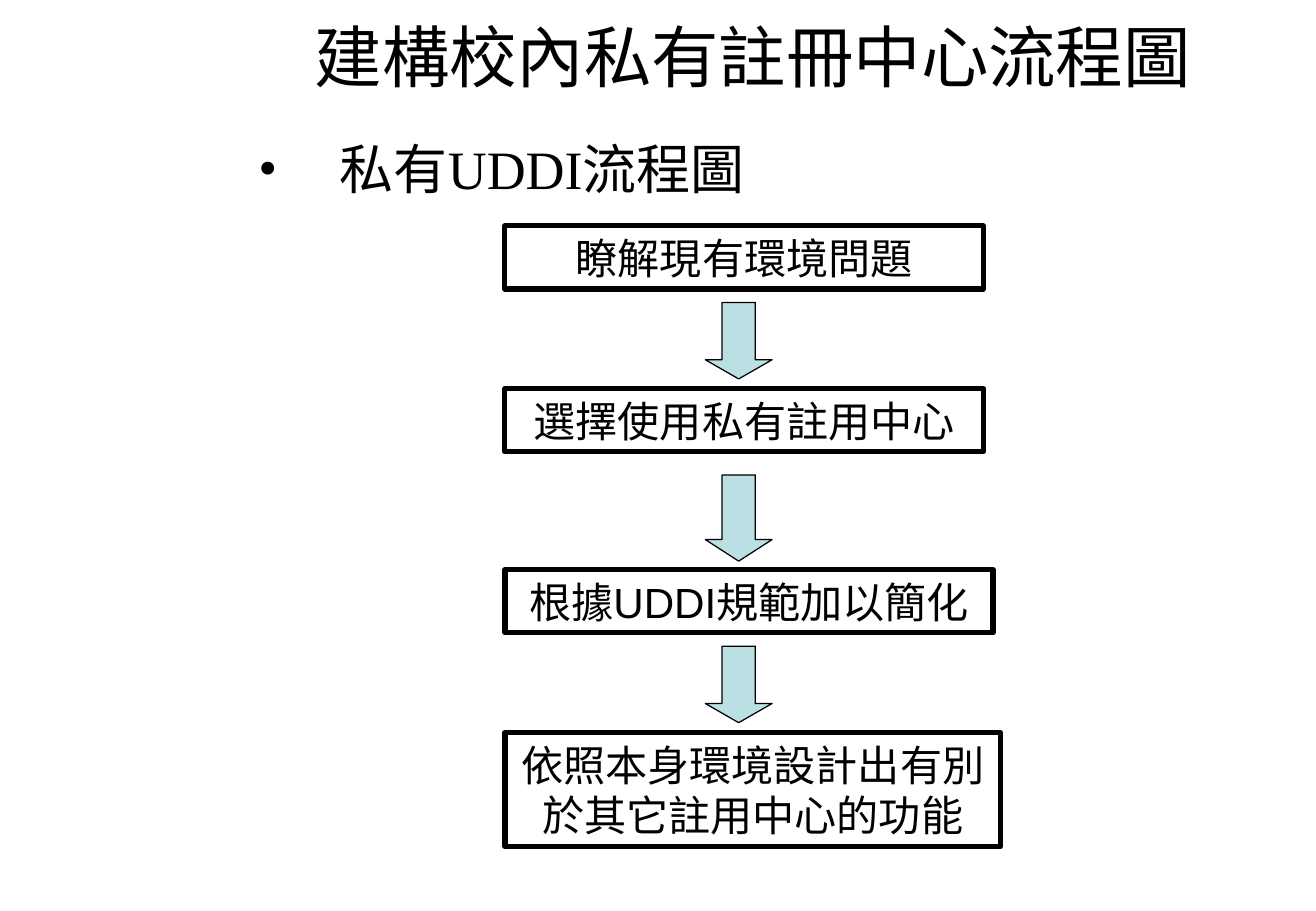
from lxml.etree import SubElement
from pptx import Presentation
from pptx.dml.color import RGBColor
from pptx.enum.shapes import MSO_SHAPE as SHAPE
from pptx.enum.text import MSO_ANCHOR as ANCHOR, PP_ALIGN as ALIGN
from pptx.oxml.ns import qn
from pptx.util import Inches, Pt

# Content
TITLE = "建構校內私有註冊中心流程圖"
CJK, SERIF = "Noto Sans CJK SC", "Times New Roman"
BULLET_RUNS = [("私有", CJK), ("UDDI", SERIF), ("流程圖", CJK)]
STEPS = [  # text, top, width, height
    ("瞭解現有環境問題", 1.86, 3.94, 0.52),
    ("選擇使用私有註用中心", 3.2, 3.94, 0.52),
    ("根據UDDI規範加以簡化", 4.69, 4.02, 0.52),
    ("依照本身環境設計出有別於其它註用中心的功能", 6.03, 4.08, 0.94),
]
ARROWS = [(2.49, 0.63), (3.91, 0.71), (5.32, 0.63)]  # top, height
STEP_LEFT, ARROW_LEFT, ARROW_WIDTH = 4.16, 5.81, 0.55

BLACK = RGBColor(0x00, 0x00, 0x00)
PALE_TEAL = RGBColor(0xBB, 0xE0, 0xE3)


def style(font, size, name):
    font.size, font.name = Pt(size), name
    font.color.rgb = BLACK


def add_outlined(kind, left, top, width, height, line_width):
    shape = page.shapes.add_shape(
        kind, Inches(left), Inches(top), Inches(width), Inches(height))
    shape.shadow.inherit = False
    shape.line.color.rgb = BLACK
    shape.line.width = Pt(line_width)
    return shape


deck = Presentation()
deck.slide_width, deck.slide_height = Inches(10.84), Inches(7.5)
page = deck.slides.add_slide(deck.slide_layouts[5])

# Title
title = page.shapes.title
title.left, title.top = Inches(2.03), Inches(0.08)
title.width, title.height = Inches(8.34), Inches(0.76)
title.text_frame.text = TITLE
title.text_frame.vertical_anchor = ANCHOR.MIDDLE
para = title.text_frame.paragraphs[0]
para.alignment = ALIGN.CENTER
style(para.font, 40, "Arial")

# Bulleted heading
box = page.shapes.add_textbox(Inches(2.03), Inches(1.07), Inches(8.42), Inches(5.39))
box.text_frame.word_wrap = True
para = box.text_frame.paragraphs[0]
para.space_before = Pt(8)
for text, font_name in BULLET_RUNS:
    span = para.add_run()
    span.text = text
    style(span.font, 32, font_name)
    if font_name == CJK:
        SubElement(span.font._element, qn("a:ea"), typeface=CJK)
props = para._p.get_or_add_pPr()
props.set("marL", str(Inches(0.67)))
props.set("indent", str(Inches(-0.67)))
SubElement(props, qn("a:buFont"), typeface=SERIF)
SubElement(props, qn("a:buChar"), char="•")

# Flow steps
for text, top, width, height in STEPS:
    step = add_outlined(SHAPE.RECTANGLE, STEP_LEFT, top, width, height, 3)
    step.fill.background()
    frame = step.text_frame
    frame.word_wrap = True
    frame.vertical_anchor = ANCHOR.MIDDLE
    frame.text = text
    para = frame.paragraphs[0]
    para.alignment = ALIGN.CENTER
    style(para.font, 25, "Arial")

# Arrows between steps, each head a quarter of the arrow's height
for top, height in ARROWS:
    arrow = add_outlined(SHAPE.DOWN_ARROW, ARROW_LEFT, top, ARROW_WIDTH, height, 0.75)
    arrow.fill.solid()
    arrow.fill.fore_color.rgb = PALE_TEAL
    arrow.adjustments[0] = 0.5
    arrow.adjustments[1] = height / 4 / ARROW_WIDTH

deck.save("out.pptx")
